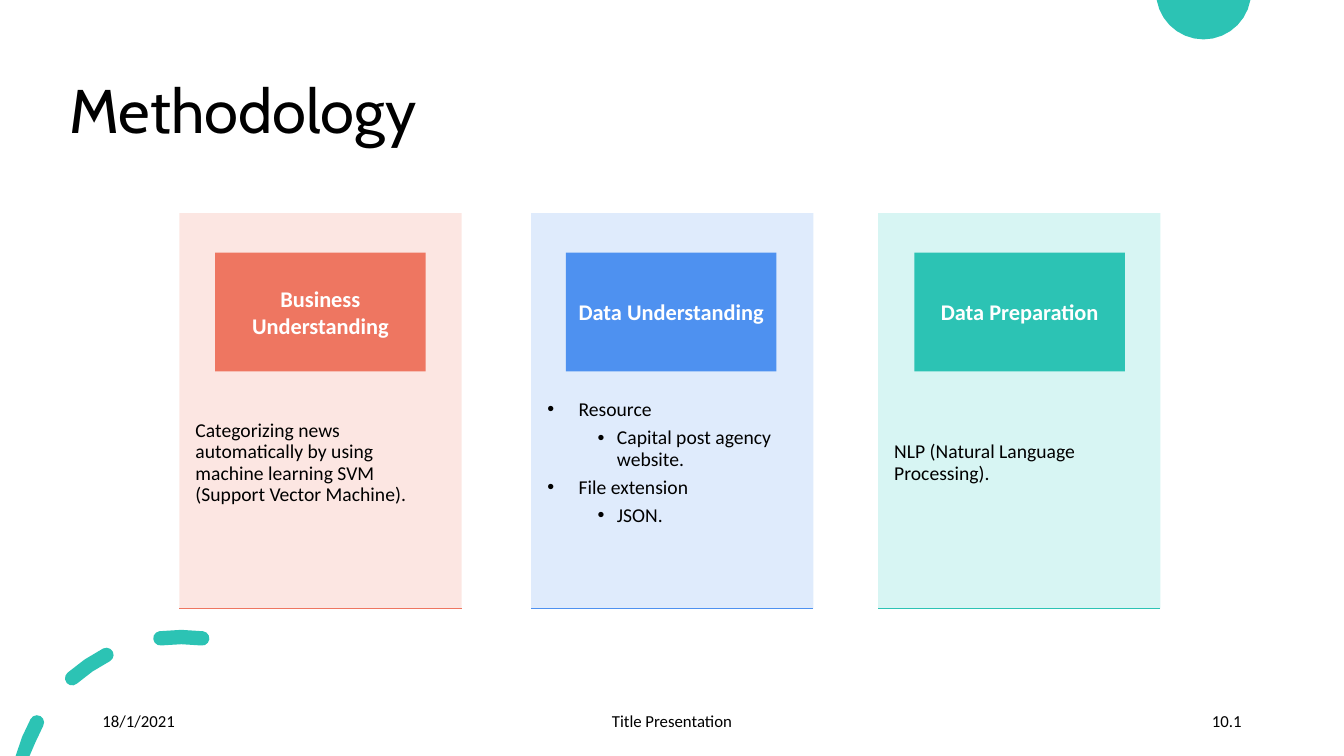
from math import cos, radians, sin

from lxml.etree import SubElement
from pptx import Presentation
from pptx.dml.color import RGBColor
from pptx.enum.shapes import MSO_CONNECTOR, MSO_SHAPE
from pptx.enum.text import MSO_ANCHOR as Anchor, MSO_AUTO_SIZE as AutoSize, PP_ALIGN as Align
from pptx.oxml.ns import qn
from pptx.util import Inches, Pt

WIDTH, HEIGHT = Inches(13.333), Inches(7.5)

BLACK = RGBColor(0x00, 0x00, 0x00)
WHITE = RGBColor(0xFF, 0xFF, 0xFF)
TEAL = RGBColor(0x2C, 0xC3, 0xB4)
CORAL = RGBColor(0xEE, 0x76, 0x61)
BLUE = RGBColor(0x4E, 0x91, 0xF0)
PALE_TEAL = RGBColor(0xD3, 0xF5, 0xF2)
PALE_CORAL = RGBColor(0xFC, 0xE4, 0xDF)
PALE_BLUE = RGBColor(0xDC, 0xE9, 0xFC)

# Panel left, heading left (% of width), heading, strong and pale colour, (list level, text)
STAGES = [
    (13.35, 16, "Business Understanding", CORAL, PALE_CORAL,
     [(None, "Categorizing news automatically by using machine learning SVM "
             "(Support Vector Machine).")]),
    (39.53, 42.1, "Data Understanding", BLUE, PALE_BLUE,
     [(0, "Resource"), (1, "Capital post agency website."),
      (0, "File extension"), (1, "JSON.")]),
    (65.34, 68.03, "Data Preparation", TEAL, PALE_TEAL,
     [(None, "NLP (Natural Language Processing).")]),
]
PANEL_TOP, PANEL_WIDTH, PANEL_HEIGHT = 28.2, 21, 52.27
BULLET_INDENTS = [(0.31, -0.31), (0.69, -0.19)]

FOOTER = [
    (6.88, 22.5, "18/1/2021", Align.LEFT),
    (33.13, 33.75, "Title Presentation", Align.CENTER),
    (70.63, 22.5, "10.1", Align.RIGHT),
]


def across(share):
    return round(WIDTH * share / 100)


def down(share):
    return round(HEIGHT * share / 100)


def area(left, top, width, height):
    return across(left), down(top), across(width), down(height)


def set_all(target, **values):
    for attribute, value in values.items():
        setattr(target, attribute, value)


def write(paragraph, text, size, color=BLACK, align=Align.LEFT, bold=False, face="Calibri"):
    paragraph.alignment = align
    run = paragraph.add_run()
    run.text = text
    set_all(run.font, size=Pt(size), bold=bold, name=face)
    run.font.color.rgb = color


def paint(shape, color):
    shape.shadow.inherit = False
    shape.fill.solid()
    shape.fill.fore_color.rgb = color
    shape.line.fill.background()


def add_box(card, place, color):
    box = card.shapes.add_shape(MSO_SHAPE.RECTANGLE, *place)
    paint(box, color)
    set_all(box.text_frame, word_wrap=True, vertical_anchor=Anchor.MIDDLE)
    return box


def add_bullet(paragraph, level):
    paragraph.level = level
    margin, indent = BULLET_INDENTS[level]
    properties = paragraph._p.get_or_add_pPr()
    properties.set("marL", str(Inches(margin)))
    properties.set("indent", str(Inches(indent)))
    SubElement(properties, qn("a:buFont"), typeface="Arial")
    SubElement(properties, qn("a:buChar"), char="•")


def add_panel(card, left, color, lines):
    panel = add_box(card, area(left, PANEL_TOP, PANEL_WIDTH, PANEL_HEIGHT), color)
    shade = panel.fill._xPr.find(qn("a:solidFill"))[0]
    SubElement(shade, qn("a:alpha"), val="90000")
    frame = panel.text_frame
    set_all(frame, margin_left=across(1.2), margin_right=across(1.2),
            margin_top=down(19.47), margin_bottom=down(5.6))
    for number, (level, text) in enumerate(lines):
        paragraph = frame.add_paragraph() if number else frame.paragraphs[0]
        set_all(paragraph, line_spacing=0.9, space_after=Pt(5))
        write(paragraph, text, 14)
        if level is not None:
            add_bullet(paragraph, level)


def add_base_line(card, left, color):
    base = down(PANEL_TOP + PANEL_HEIGHT)
    line = card.shapes.add_connector(
        MSO_CONNECTOR.STRAIGHT, across(left), base, across(left + PANEL_WIDTH), base)
    line.line.color.rgb = color
    line.line.width = Pt(1)
    SubElement(line._element.spPr, qn("a:effectLst"))


def add_stage(slide, left, heading_left, heading, strong, pale, lines):
    card = slide.shapes.add_group_shape()
    add_panel(card, left, pale, lines)
    add_base_line(card, left, strong)
    label = add_box(card, area(heading_left, 33.4, 15.68, 15.73), strong)
    write(label.text_frame.paragraphs[0], heading, 16, WHITE, Align.CENTER, bold=True)


def arc(center, radius, start, end, steps=2):
    """Points on an arc: shares of the height, degrees clockwise from the top."""
    angles = [radians(start + (end - start) * i / steps) for i in range(steps + 1)]
    return [(down(center[0] + radius * sin(a)),
             down(min(center[1] - radius * cos(a), 100))) for a in angles]


def add_outline(slide, contours):
    first, *others = contours
    builder = slide.shapes.build_freeform(*first[0], scale=1.0)
    builder.add_line_segments(first[1:], close=True)
    for contour in others:
        builder.move_to(*contour[0])
        builder.add_line_segments(contour[1:], close=True)
    paint(builder.convert_to_shape(), TEAL)


def dash(start, end, round_start=True):
    center, radius, half = (23.95, 106), 21.73, 0.95

    def cap(angle, turn):
        x, y = center[0] + radius * sin(radians(angle)), center[1] - radius * cos(radians(angle))
        return arc((x, y), half, angle + turn, angle + turn + 180, 6)[1:-1]

    outline = arc(center, radius + half, start, end) + cap(end, 0)
    outline += arc(center, radius - half, end, start)
    return outline + cap(start, 180) if round_start else outline


def add_title(slide, text):
    title = slide.shapes.title
    left, top, width, height = area(4.43, 5.33, 86.25, 19.33)
    set_all(title, left=left, top=top, width=width, height=height)
    set_all(title.text_frame, auto_size=AutoSize.NONE, vertical_anchor=Anchor.MIDDLE)
    paragraph = title.text_frame.paragraphs[0]
    paragraph.line_spacing = 0.9
    write(paragraph, text, 44, face="Cabin")


def add_footer(slide, left, width, text, align):
    frame = slide.shapes.add_textbox(*area(left, 92.67, width, 5.33)).text_frame
    set_all(frame, word_wrap=True, vertical_anchor=Anchor.MIDDLE)
    write(frame.paragraphs[0], text, 12, align=align)


def main():
    deck = Presentation()
    set_all(deck, slide_width=WIDTH, slide_height=HEIGHT)
    slide = deck.slides.add_slide(deck.slide_layouts[5])

    # Corner decoration
    add_outline(slide, [arc((159.2, -1.07), 6.29, 100, 260, 14)])
    add_outline(slide, [dash(-74.6, -61.3, round_start=False),
                        dash(-41.5, -27), dash(-7.2, 7.4)])

    # Title and footer
    add_title(slide, "Methodology")
    for entry in FOOTER:
        add_footer(slide, *entry)

    # Stages
    for stage in STAGES:
        add_stage(slide, *stage)

    deck.save("out.pptx")


if __name__ == "__main__":
    main()
